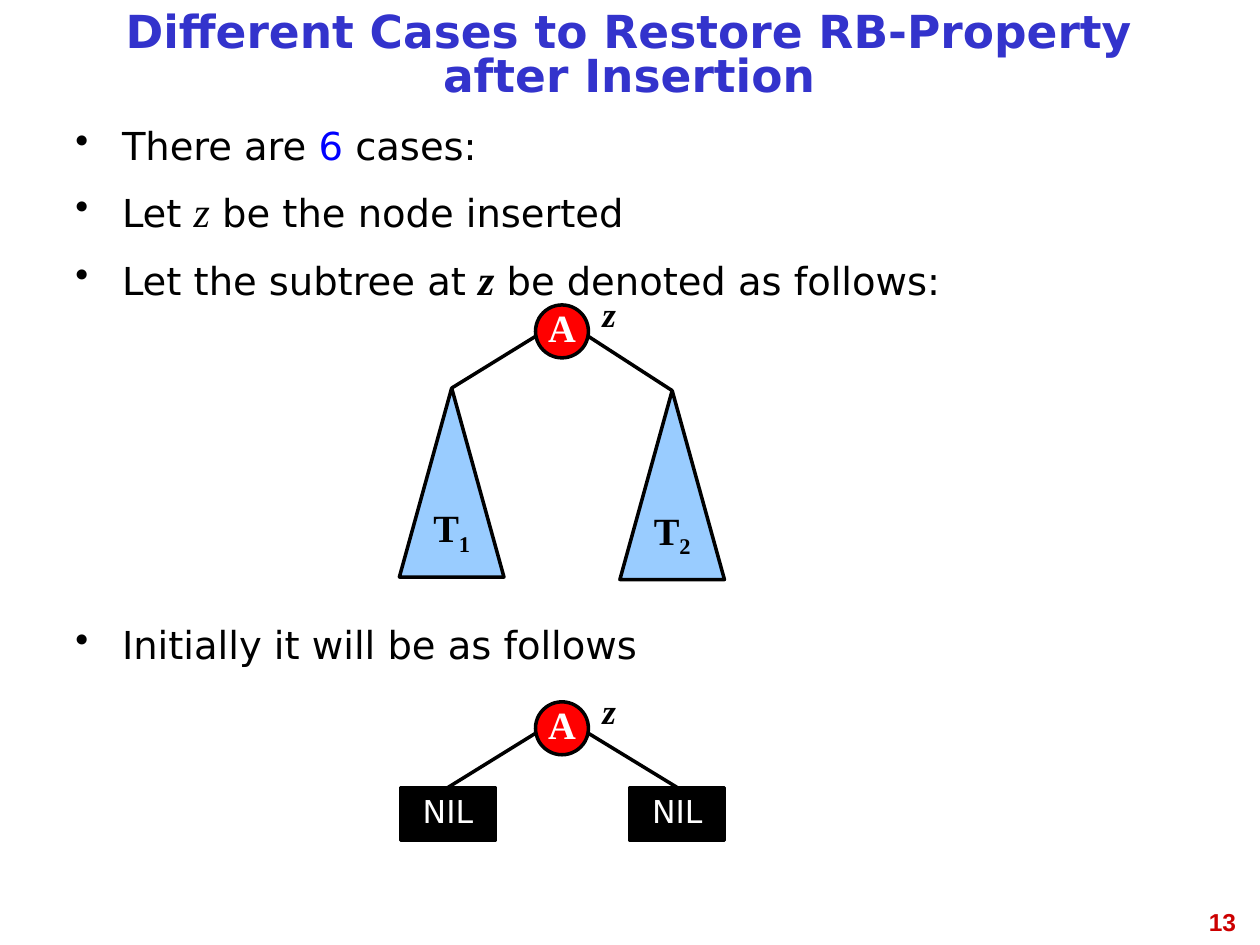
from dataclasses import dataclass
from typing import Optional

import pptx
import pptx.dml.color
import pptx.enum.shapes
import pptx.enum.text
import pptx.oxml.ns
import pptx.util
from lxml import etree

Inches = pptx.util.Inches
Pt = pptx.util.Pt
Color = pptx.dml.color.RGBColor.from_string
Align = pptx.enum.text.PP_ALIGN
Anchor = pptx.enum.text.MSO_ANCHOR
Preset = pptx.enum.shapes.MSO_SHAPE
qn = pptx.oxml.ns.qn


@dataclass(frozen=True)
class Theme:
    black: str = "000000"
    white: str = "FFFFFF"
    title: str = "3333CC"
    number: str = "CC0000"
    accent: str = "0000FF"
    node: str = "FF0000"
    subtree: str = "99CCFF"
    sans: str = "DejaVu Sans"
    serif: str = "Times New Roman"
    footer: str = "Arial"
    title_size: int = 26
    body_size: int = 22
    symbol_size: int = 24
    label_size: int = 20
    nil_size: int = 18
    number_size: int = 14
    line_width: int = 2
    tight: float = 0.81


THEME = Theme()


@dataclass(frozen=True)
class Child:
    left: float
    top: float
    subscript: Optional[str] = None


@dataclass(frozen=True)
class Tree:
    top: float
    children: tuple[Child, Child]


@dataclass(frozen=True)
class Bullet:
    before: str
    symbol: str = ""
    after: str = ""
    symbol_format: Optional[dict] = None
    space: int = 10


NODE_LEFT, NODE_SIZE = 4.25, 0.42
TREES = (
    Tree(2.42, (Child(3.17, 3.08, "1"), Child(4.92, 3.1, "2"))),
    Tree(5.57, (Child(3.18, 6.25), Child(5, 6.25))),
)
SYMBOL = dict(size=THEME.symbol_size, font=THEME.serif, italic=True)
BULLETS = (
    Bullet("There are ", "6", " cases:", dict(color=THEME.accent), space=0),
    Bullet("Let ", "z", " be the node inserted", SYMBOL),
    Bullet("Let the subtree at ", "z", " be denoted as follows:", SYMBOL | dict(bold=True)),
    Bullet("Initially it will be as follows", space=181),
)


def add_text(paragraph, text: str, *, size: int = THEME.body_size, font: str = THEME.sans,
             color: str = THEME.black, bold: bool = False, italic: bool = False,
             baseline: int = 0) -> None:
    run = paragraph.add_run()
    run.text = text
    run.font.size = Pt(size)
    run.font.name = font
    run.font.color.rgb = Color(color)
    run.font.bold = bold
    run.font.italic = italic
    if baseline:
        run.font._element.set("baseline", str(baseline * 1000))


def prepare_paragraph(shape, *, align=Align.CENTER, anchor=Anchor.MIDDLE,
                      wrap: bool = False, spacing: Optional[float] = THEME.tight):
    frame = shape.text_frame
    frame.auto_size = pptx.enum.text.MSO_AUTO_SIZE.NONE
    frame.word_wrap = wrap
    frame.vertical_anchor = anchor
    paragraph = frame.paragraphs[0]
    paragraph.alignment = align
    if spacing:
        paragraph.line_spacing = spacing
    return paragraph


def add_textbox(slide, left: float, top: float, width: float, height: float):
    return slide.shapes.add_textbox(Inches(left), Inches(top), Inches(width), Inches(height))


def add_outlined_shape(slide, preset, left: float, top: float, width: float, height: float,
                       fill: str):
    shape = slide.shapes.add_shape(preset, Inches(left), Inches(top), Inches(width), Inches(height))
    shape.shadow.inherit = False
    shape.fill.solid()
    shape.fill.fore_color.rgb = Color(fill)
    shape.line.color.rgb = Color(THEME.black)
    shape.line.width = Pt(THEME.line_width)
    return shape


def add_child(slide, child: Child):
    if child.subscript:
        shape = add_outlined_shape(slide, Preset.ISOSCELES_TRIANGLE, child.left, child.top,
                                   0.83, 1.5, THEME.subtree)
        paragraph = prepare_paragraph(shape)
        add_text(paragraph, "T", font=THEME.serif, bold=True)
        add_text(paragraph, child.subscript, font=THEME.serif, bold=True, baseline=-25)
    else:
        shape = add_outlined_shape(slide, Preset.RECTANGLE, child.left, child.top,
                                   0.75, 0.42, THEME.black)
        add_text(prepare_paragraph(shape), "NIL", size=THEME.nil_size, color=THEME.white)
    return shape


def add_branch(slide, left: float, top: float, child_shape) -> None:
    connector = slide.shapes.add_connector(pptx.enum.shapes.MSO_CONNECTOR.STRAIGHT,
                                           Inches(left), Inches(top), Inches(left), Inches(top))
    connector.end_connect(child_shape, 0)
    connector.line.color.rgb = Color(THEME.black)
    connector.line.width = Pt(THEME.line_width)
    etree.SubElement(connector._element.spPr, qn("a:effectLst"))


def add_tree(slide, tree: Tree) -> None:
    node = add_outlined_shape(slide, Preset.OVAL, NODE_LEFT, tree.top, NODE_SIZE, NODE_SIZE,
                              THEME.node)
    add_text(prepare_paragraph(node), "A", font=THEME.serif, color=THEME.white, bold=True)
    for child, left in zip(tree.children, (NODE_LEFT, NODE_LEFT + NODE_SIZE)):
        add_branch(slide, left, tree.top + 0.25, add_child(slide, child))
    label = add_textbox(slide, 4.46, tree.top - 0.11, 0.75, 0.42)
    add_text(prepare_paragraph(label), "z", size=THEME.label_size, font=THEME.serif,
             bold=True, italic=True)


def add_title(slide) -> None:
    title = slide.shapes.title
    title.left, title.top, title.width, title.height = map(Inches, (0.5, 0.08, 8.99, 0.75))
    add_text(prepare_paragraph(title, wrap=True),
             "Different Cases to Restore RB-Property after Insertion",
             size=THEME.title_size, color=THEME.title, bold=True)


def add_bullets(slide) -> None:
    body = add_textbox(slide, 0.5, 0.92, 8.99, 5.83)
    first = prepare_paragraph(body, align=Align.JUSTIFY, anchor=Anchor.TOP, wrap=True, spacing=None)
    for index, bullet in enumerate(BULLETS):
        paragraph = body.text_frame.add_paragraph() if index else first
        properties = paragraph._p.get_or_add_pPr()
        properties.set("marL", str(Inches(0.37)))
        properties.set("indent", str(Inches(-0.37)))
        etree.SubElement(properties, qn("a:buChar")).set("char", "•")
        paragraph.alignment = Align.JUSTIFY
        paragraph.space_before = Pt(bullet.space)
        add_text(paragraph, bullet.before)
        if bullet.symbol:
            add_text(paragraph, bullet.symbol, **bullet.symbol_format)
            add_text(paragraph, bullet.after)


def add_slide_number(slide) -> None:
    number = add_textbox(slide, 7.58, 7.15, 2.33, 0.52)
    paragraph = prepare_paragraph(number, align=Align.RIGHT, anchor=Anchor.TOP, wrap=True,
                                  spacing=None)
    add_text(paragraph, "13", size=THEME.number_size, font=THEME.footer, color=THEME.number,
             bold=True)


def main() -> None:
    presentation = pptx.Presentation()
    presentation.slide_width, presentation.slide_height = Inches(10), Inches(7.5)
    slide = presentation.slides.add_slide(presentation.slide_layouts[5])
    add_title(slide)
    add_bullets(slide)
    for tree in TREES:
        add_tree(slide, tree)
    add_slide_number(slide)
    presentation.save("out.pptx")


if __name__ == "__main__":
    main()
